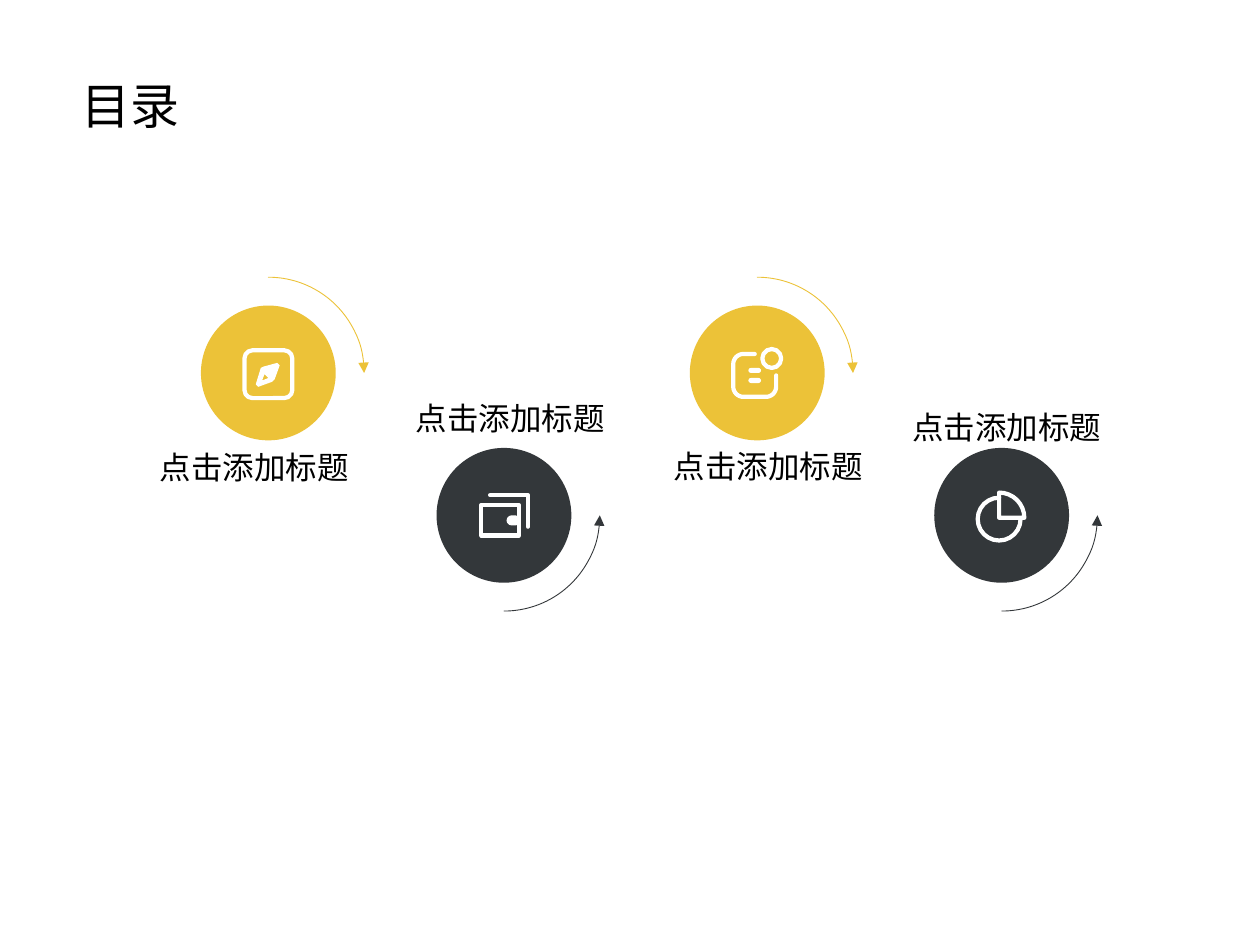
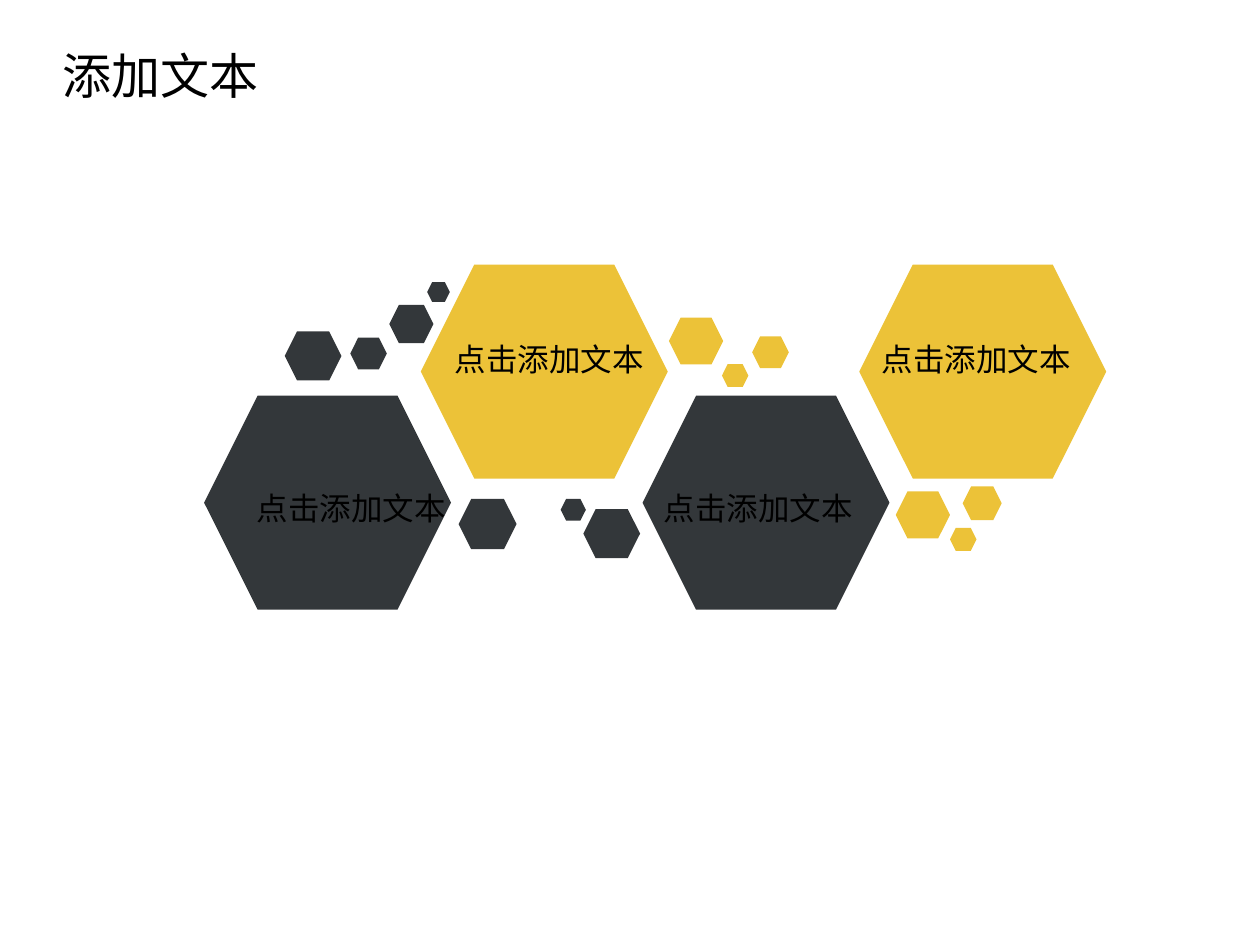
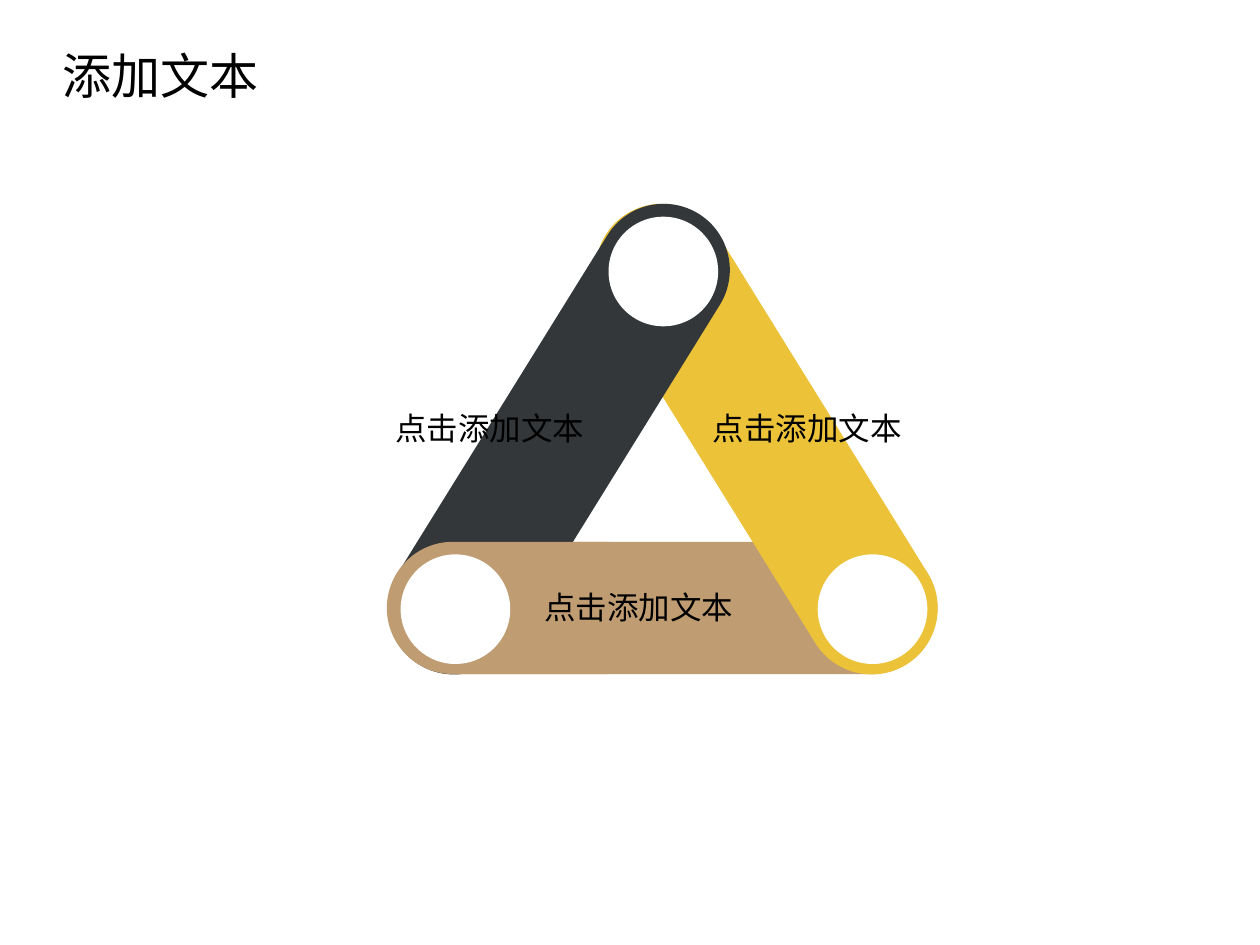
from dataclasses import dataclass
from math import cos, pi, sin

from lxml import etree
from pptx import Presentation
from pptx.dml.color import RGBColor
from pptx.enum import shapes, text
from pptx.oxml import ns
from pptx.util import Inches, Pt


@dataclass(frozen=True)
class Theme:
    """Colours, font and sizes used on every slide."""
    yellow: str = "ECC238"
    dark: str = "33373A"
    tan: str = "BF9C72"
    white: str = "FFFFFF"
    black: str = "000000"
    font: str = "Noto Sans CJK SC"
    title_size: int = 28
    label_size: int = 18
    arrow_width: float = 0.5
    icon_width: float = 2.4


THEME = Theme()
KIND = shapes.MSO_SHAPE


def add_text(slide, left, top, words, size=THEME.label_size):
    """Add one line of text in a box that fits its full-width characters."""
    box = slide.shapes.add_textbox(
        Inches(left), Inches(top),
        Inches(len(words) * size / 72 + 0.2), Inches(size / 50))
    frame = box.text_frame
    frame.word_wrap = False
    frame.auto_size = text.MSO_AUTO_SIZE.SHAPE_TO_FIT_TEXT
    paragraph = frame.paragraphs[0]
    paragraph.text = words
    font = paragraph.font
    font.size = Pt(size)
    font.color.rgb = RGBColor.from_string(THEME.black)
    font.name = THEME.font
    properties = paragraph._p.pPr.find(ns.qn("a:defRPr"))
    etree.SubElement(properties, ns.qn("a:ea"), typeface=THEME.font)


def add_title(slide, words, left=0.4, top=0.31):
    """Add the slide title."""
    add_text(slide, left, top, words, THEME.title_size)


def paint(shape, fill=None, line=None, width=THEME.icon_width):
    """Give a shape its fill and outline, without a shadow."""
    shape.shadow.inherit = False
    if fill:
        shape.fill.solid()
        shape.fill.fore_color.rgb = RGBColor.from_string(fill)
    else:
        shape.fill.background()
    if line:
        shape.line.color.rgb = RGBColor.from_string(line)
        shape.line.width = Pt(width)
        shape.line._get_or_add_ln().set("cap", "rnd")
    else:
        shape.line.fill.background()
    return shape


def add_shape(slide, kind, box, fill=None, line=None, adjustments=(), width=THEME.icon_width):
    """Add a preset shape in a box of left, top, width and height."""
    shape = slide.shapes.add_shape(kind, *(Inches(length) for length in box))
    for index, value in enumerate(adjustments):
        shape.adjustments[index] = value
    return paint(shape, fill, line, width)


def add_arc(slide, center, radius, start, end, color, width=THEME.icon_width):
    """Add a clockwise arc between two angles from 0 to 359 degrees."""
    x, y = center
    return add_shape(slide, KIND.ARC, (x - radius, y - radius, 2 * radius, 2 * radius),
                     line=color, adjustments=(start * 0.6, end * 0.6), width=width)


def round_corner(before, corner, after, radius, steps=8):
    """Return the points of a rounded right-angled corner."""
    def direction(start, end):
        length = abs(end[0] - start[0]) + abs(end[1] - start[1])
        return [(b - a) / length for a, b in zip(start, end)]

    incoming, outgoing = direction(before, corner), direction(corner, after)
    angles = [pi / 2 * step / steps for step in range(steps + 1)]
    return [tuple(p + radius * ((sin(angle) - 1) * i + (1 - cos(angle)) * o)
                  for p, i, o in zip(corner, incoming, outgoing))
            for angle in angles]


def add_outline(slide, center, points, radius=0, closed=False):
    """Draw a white line through points, rounding the inner corners."""
    path = [points[0]]
    for before, corner, after in zip(points, points[1:], points[2:]):
        path += round_corner(before, corner, after, radius) if radius else [corner]
    path.append(points[-1])
    return paint(build_path(slide, center, [path], closed), line=THEME.white)


def build_path(slide, center, contours, closed=True):
    """Build a freeform from contours given relative to a centre."""
    builder = None
    for contour in contours:
        first, *rest = [(Inches(center[0] + x), Inches(center[1] + y)) for x, y in contour]
        if builder is None:
            builder = slide.shapes.build_freeform(*first, scale=1.0)
        else:
            builder.move_to(*first)
        builder.add_line_segments(rest, close=closed)
    return builder.convert_to_shape()


def draw_compass(slide, center):
    """Draw a framed compass needle."""
    x, y = center
    add_shape(slide, KIND.ROUNDED_RECTANGLE, (x - 0.19, y - 0.18, 0.38, 0.38),
              line=THEME.white, adjustments=(0.17,))
    needle = [(-0.06, -0.04), (-0.04, -0.05), (0.07, -0.08), (0.09, -0.06),
              (0.05, 0.05), (0.03, 0.07), (-0.08, 0.11), (-0.1, 0.09)]
    paint(build_path(slide, center, [needle, [(-0.05, 0.06), (-0.03, 0.01), (0, 0.04)]]),
          THEME.white)


def draw_wallet(slide, center):
    """Draw a wallet with a card behind it."""
    x, y = center
    add_outline(slide, center, [(-0.11, -0.16), (0.19, -0.16), (0.19, 0.09)])
    add_shape(slide, KIND.RECTANGLE, (x - 0.18, y - 0.08, 0.3, 0.24), line=THEME.white)
    add_shape(slide, KIND.ROUNDED_RECTANGLE, (x + 0.02, y, 0.11, 0.08),
              THEME.white, adjustments=(0.5,))


def draw_note(slide, center):
    """Draw a note with a round badge."""
    x, y = center
    add_outline(slide, center, [(-0.02, -0.15), (-0.19, -0.15), (-0.19, 0.19),
                                (0.15, 0.19), (0.15, 0.02)], radius=0.08)
    add_shape(slide, KIND.OVAL, (x + 0.04, y - 0.19, 0.15, 0.15), line=THEME.white)
    for row in (-0.04, 0.04):
        add_shape(slide, KIND.ROUNDED_RECTANGLE, (x - 0.07, y + row, 0.1, 0.04),
                  THEME.white, adjustments=(0.5,))


def draw_pie(slide, center):
    """Draw a pie with one quarter pulled out."""
    x, y = center
    add_arc(slide, (x - 0.02, y + 0.03), 0.17, 0, 270, THEME.white)
    quarter = [(-0.02, 0.02)] + round_corner((-0.02, -0.18), (0.18, -0.18), (0.18, 0.02), 0.2)
    add_outline(slide, center, quarter, closed=True)


def add_step(slide, center, label_at, upper, draw_icon):
    """Add a contents step: disc, icon, quarter arrow and label."""
    x, y = center
    color = THEME.yellow if upper else THEME.dark
    add_text(slide, *label_at, "点击添加标题")
    add_shape(slide, KIND.OVAL, (x - 0.535, y - 0.535, 1.07, 1.07), color)
    start, end, tip = (270, 0, "tailEnd") if upper else (0, 90, "headEnd")
    arrow = add_arc(slide, center, 0.76, start, end, color, THEME.arrow_width)
    etree.SubElement(arrow.line._get_or_add_ln(), ns.qn("a:" + tip), type="triangle")
    draw_icon(slide, center)


def build_contents(slide):
    """Build the contents slide."""
    add_title(slide, "目录", 0.55, 0.55)
    upper, lower = 2.96, 4.09
    add_step(slide, (2.13, upper), (1.17, 3.51), True, draw_compass)
    add_step(slide, (4, lower), (3.2, 3.12), False, draw_wallet)
    add_step(slide, (6.01, upper), (5.25, 3.5), True, draw_note)
    add_step(slide, (7.95, lower), (7.14, 3.19), False, draw_pie)


def add_hexagons(slide, color, places):
    """Add regular hexagons given as left, top and width."""
    for left, top, width in places:
        add_shape(slide, KIND.HEXAGON, (left, top, width, width * 0.867),
                  color, adjustments=(0.25,))


def build_honeycomb(slide):
    """Build the honeycomb slide."""
    add_hexagons(slide, THEME.dark, [
        (1.62, 3.14, 1.96), (5.1, 3.14, 1.96), (2.26, 2.63, 0.45),
        (3.64, 3.96, 0.46), (4.63, 4.04, 0.45), (3.39, 2.24, 0.18),
        (4.45, 3.96, 0.2), (3.09, 2.42, 0.35), (2.78, 2.68, 0.29)])
    add_hexagons(slide, THEME.yellow, [
        (3.34, 2.1, 1.96), (6.82, 2.1, 1.96), (5.97, 2.67, 0.29),
        (5.31, 2.52, 0.43), (5.73, 2.89, 0.21), (7.11, 3.9, 0.43),
        (7.64, 3.86, 0.31), (7.54, 4.19, 0.21)])
    add_title(slide, "添加文本")
    for left, top in [(3.51, 2.65), (6.9, 2.65), (5.17, 3.83), (1.94, 3.83)]:
        add_text(slide, left, top, "点击添加文本")


def build_triangle(slide):
    """Build the slide with three interlocking bars."""
    bars = [(3.08, 4.3, 4.36, 0, THEME.tan), (3.98, 2.96, 4.21, 58.2, THEME.yellow),
            (2.33, 2.96, 4.21, 301.8, THEME.dark), (3.07, 4.3, 2.25, 0, THEME.tan)]
    for left, top, width, rotation, color in bars:
        bar = add_shape(slide, KIND.ROUNDED_RECTANGLE, (left, top, width, 1.05),
                        color, adjustments=(0.5,))
        bar.rotation = rotation
    for left, top in [(4.83, 1.72), (3.18, 4.4), (6.49, 4.4)]:
        add_shape(slide, KIND.OVAL, (left, top, 0.87, 0.87), THEME.white)
    add_title(slide, "添加文本")
    for left, top in [(5.56, 3.2), (4.22, 4.62), (3.04, 3.2)]:
        add_text(slide, left, top, "点击添加文本")


def main():
    """Build and save the presentation."""
    presentation = Presentation()
    presentation.slide_width, presentation.slide_height = Inches(10), Inches(7.5)
    for build in (build_contents, build_honeycomb, build_triangle):
        build(presentation.slides.add_slide(presentation.slide_layouts[6]))
    presentation.save("out.pptx")


if __name__ == "__main__":
    main()
